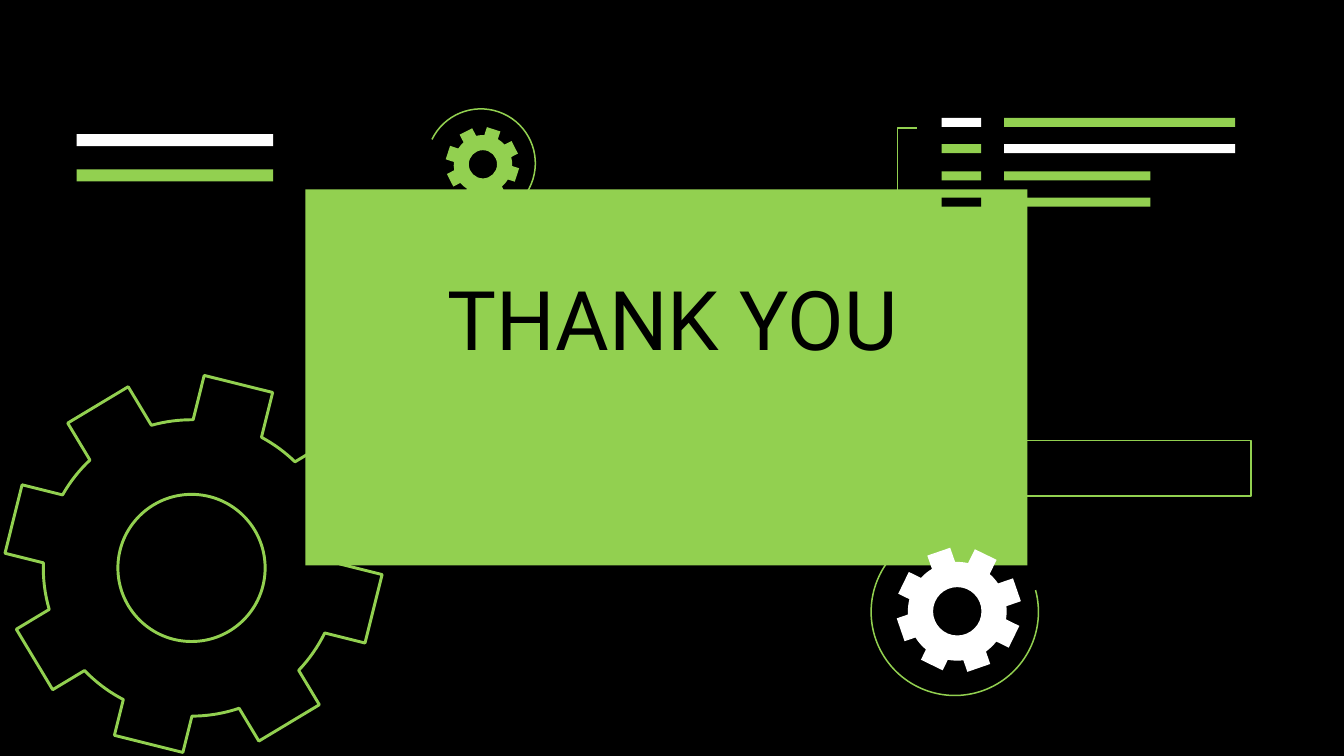
from dataclasses import dataclass
from math import atan2, cos, radians, sin, sqrt, tan
from typing import NamedTuple, Optional

from lxml.etree import SubElement
from pptx import Presentation
from pptx.dml.color import RGBColor
from pptx.enum.shapes import MSO_SHAPE as Preset
from pptx.enum.text import MSO_ANCHOR as Anchor, PP_ALIGN as Align
from pptx.oxml import parse_xml
from pptx.oxml.ns import nsdecls, qn
from pptx.util import Emu, Pt

PX = 9144  # EMU in one px, 100 px to the inch
Point = tuple[float, float]


class Node(NamedTuple):
    """An outline point; with a hub, it is reached by an arc about that hub."""
    x: float
    y: float
    hub: Optional[Point] = None


@dataclass(frozen=True)
class Theme:
    black: str = "000000"
    white: str = "FFFFFF"
    green: str = "92D050"
    font: str = "Roboto"
    title_size: float = 58.7
    thin: float = 1.09
    thick: float = 2.1


THEME = Theme()


@dataclass(frozen=True)
class Bar:
    left: int
    top: int
    width: int
    height: int
    fill: Optional[str] = None
    line: Optional[float] = None


@dataclass(frozen=True)
class Gear:
    center: Point
    hub: Point
    tip: int
    root: int
    hole: int
    half_tooth: int
    angle: int
    fill: Optional[str] = None
    line: Optional[float] = None


@dataclass(frozen=True)
class Arc:
    center: Point
    radius: int
    start: int
    end: int


def emu(length: float) -> Emu:
    return Emu(round(length * PX))


def paint(shape, fill: Optional[str], line: Optional[float]) -> None:
    shape.shadow.inherit = False
    if fill:
        shape.fill.solid()
        shape.fill.fore_color.rgb = RGBColor.from_string(fill)
    else:
        shape.fill.background()
    if line:
        shape.line.color.rgb = RGBColor.from_string(THEME.green)
        shape.line.width = Pt(line)
    else:
        shape.line.fill.background()


def draw_bar(page, bar: Bar) -> None:
    frame = map(emu, (bar.left, bar.top, bar.width, bar.height))
    paint(page.shapes.add_shape(Preset.RECTANGLE, *frame), bar.fill, bar.line)


def arc_curve(start: Node, end: Node) -> list[Point]:
    """The two handles and the end of the curve about the hub of end."""
    x0, y0 = start.x - end.hub[0], start.y - end.hub[1]
    x1, y1 = end.x - end.hub[0], end.y - end.hub[1]
    sweep = atan2(x0 * y1 - y0 * x1, x0 * x1 + y0 * y1)
    pull = 4 / 3 * tan(sweep / 4)
    return [(start.x - pull * y0, start.y + pull * x0),
            (end.x + pull * y1, end.y - pull * x1), (end.x, end.y)]


def draw_outline(page, contours: list[list[Node]], closed: bool,
                 fill: Optional[str], line: Optional[float]) -> None:
    first = contours[0][0]
    builder = page.shapes.build_freeform(emu(first.x), emu(first.y), scale=1.0)
    for index, contour in enumerate(contours):
        if index:
            builder.move_to(emu(contour[0].x), emu(contour[0].y))
        builder.add_line_segments(
            [(emu(node.x), emu(node.y)) for node in contour[1:]], close=closed)
    shape = builder.convert_to_shape()
    paint(shape, fill, line)

    # Straight segments with a hub become curves
    segments = [pair for contour in contours for pair in zip(contour, contour[1:])]
    straights = list(shape.element.iter(qn("a:lnTo")))
    for straight, (start, end) in zip(straights, segments):
        if end.hub:
            curve = parse_xml(f"<a:cubicBezTo {nsdecls('a')}/>")
            for x, y in arc_curve(start, end):
                SubElement(curve, qn("a:pt"), x=str(emu(x) - shape.left),
                           y=str(emu(y) - shape.top))
            straight.getparent().replace(straight, curve)


def arc_nodes(arc: Arc, pieces: int) -> list[Node]:
    step = (arc.end - arc.start) / pieces
    angles = [radians(arc.start + step * piece) for piece in range(pieces + 1)]
    return [Node(arc.center[0] + arc.radius * cos(angle),
                 arc.center[1] + arc.radius * sin(angle), arc.center)
            for angle in angles]


def tooth_nodes(gear: Gear, angle: int) -> list[Node]:
    """Two tips between two feet, where the flanks meet the root circle."""
    along_x, along_y = cos(radians(angle)), sin(radians(angle))
    shift_x = gear.hub[0] - gear.center[0]
    shift_y = gear.hub[1] - gear.center[1]
    along = shift_x * along_x + shift_y * along_y
    across = shift_y * along_x - shift_x * along_y

    def place(distance: float, side: float, hub: Optional[Point] = None) -> Node:
        return Node(gear.center[0] + distance * along_x - side * along_y,
                    gear.center[1] + distance * along_y + side * along_x, hub)

    left, right = -gear.half_tooth, gear.half_tooth
    feet = [along + sqrt(gear.root ** 2 - (side - across) ** 2)
            for side in (left, right)]
    return [place(feet[0], left, gear.hub), place(gear.tip, left),
            place(gear.tip, right), place(feet[1], right)]


def draw_gear(page, gear: Gear) -> None:
    rim = [node for turn in range(8)
           for node in tooth_nodes(gear, gear.angle + 45 * turn)]
    hole = arc_nodes(Arc(gear.hub, gear.hole, 0, 360), 4)
    draw_outline(page, [rim + rim[:1], hole], True, gear.fill, gear.line)


def add_text(page, text: str, *, left: int, top: int, width: int, height: int,
             size: float, color: str, align: Align) -> None:
    box = page.shapes.add_textbox(*map(emu, (left, top, width, height)))
    frame = box.text_frame
    frame.word_wrap = True
    frame.vertical_anchor = Anchor.TOP
    frame.margin_left = frame.margin_right = emu(10)
    frame.margin_top = frame.margin_bottom = emu(10)
    para = frame.paragraphs[0]
    para.alignment = align
    span = para.add_run()
    span.text = text
    span.font.name = THEME.font
    span.font.size = Pt(size)
    span.font.color.rgb = RGBColor.from_string(color)


PANEL = Bar(303, 188, 716, 373, THEME.green)
ARCS = [Arc((477, 162), 54, 206, 455), Arc((947, 607), 83, -15, 233)]
GEARS = [
    Gear((192, 559.5), (190, 563.5), 184, 147, 73, 35, 14, line=THEME.thick),
    Gear((951, 605), (949.5, 606.5), 61, 49, 24, 12, 26, fill=THEME.white),
    Gear((478.5, 162.5), (479, 163), 36, 29, 14, 7, 18, fill=THEME.green),
]
# Rows of the list: marker colour, bar colour, bar width
LIST_ROWS = [
    (THEME.white, THEME.green, 229),
    (THEME.green, THEME.white, 229),
    (THEME.green, THEME.green, 145),
    (THEME.black, THEME.green, 145),
]
BRACKET = [Node(910, 207), Node(890, 207), Node(890, 127), Node(910, 127)]
STRIPES = [Bar(76, 133, 195, 12, THEME.white), Bar(76, 168, 195, 12, THEME.green)]
FRAME = Bar(960, 437, 281, 55, line=THEME.thin)


def main() -> None:
    deck = Presentation()
    deck.slide_width, deck.slide_height = emu(1333), emu(750)
    page = deck.slides.add_slide(deck.slide_layouts[6])
    page.background.fill.solid()
    page.background.fill.fore_color.rgb = RGBColor.from_string(THEME.black)

    # Panel, arcs and gears
    draw_bar(page, PANEL)
    for arc in ARCS:
        draw_outline(page, [arc_nodes(arc, 3)], False, None, THEME.thin)
    for gear in GEARS:
        draw_gear(page, gear)

    # List with its bracket
    for row, (marker, color, width) in enumerate(LIST_ROWS):
        top = round(117 + 26.4 * row)
        draw_bar(page, Bar(934, top, 39, 9, marker))
        draw_bar(page, Bar(996, top, width, 9, color))
    draw_outline(page, [BRACKET], False, None, THEME.thin)

    # Stripes and frame
    for bar in [*STRIPES, FRAME]:
        draw_bar(page, bar)

    # Title
    add_text(page, "THANK YOU", left=409, top=256, width=516, height=141,
             size=THEME.title_size, color=THEME.black, align=Align.CENTER)
    deck.save("out.pptx")


if __name__ == "__main__":
    main()
